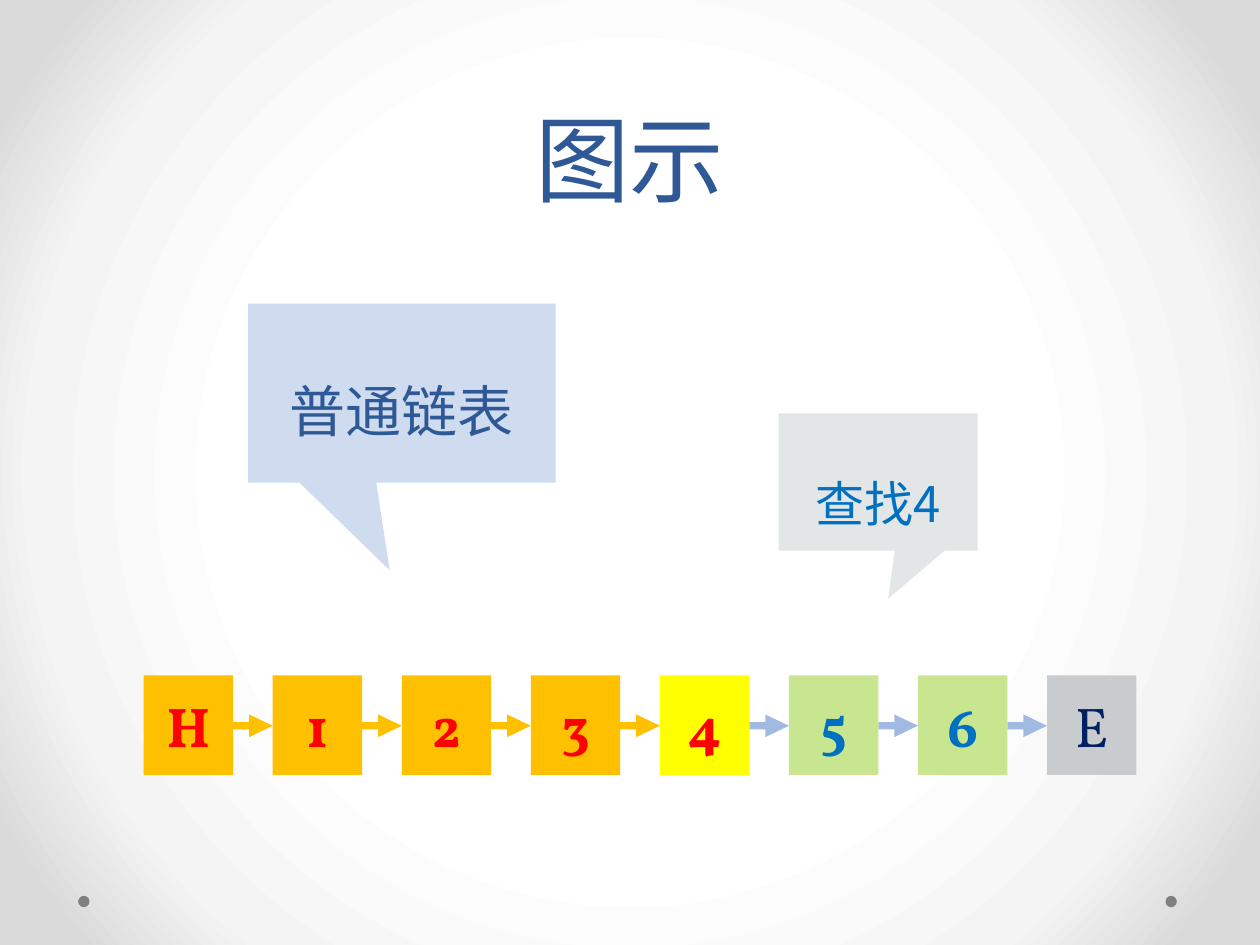
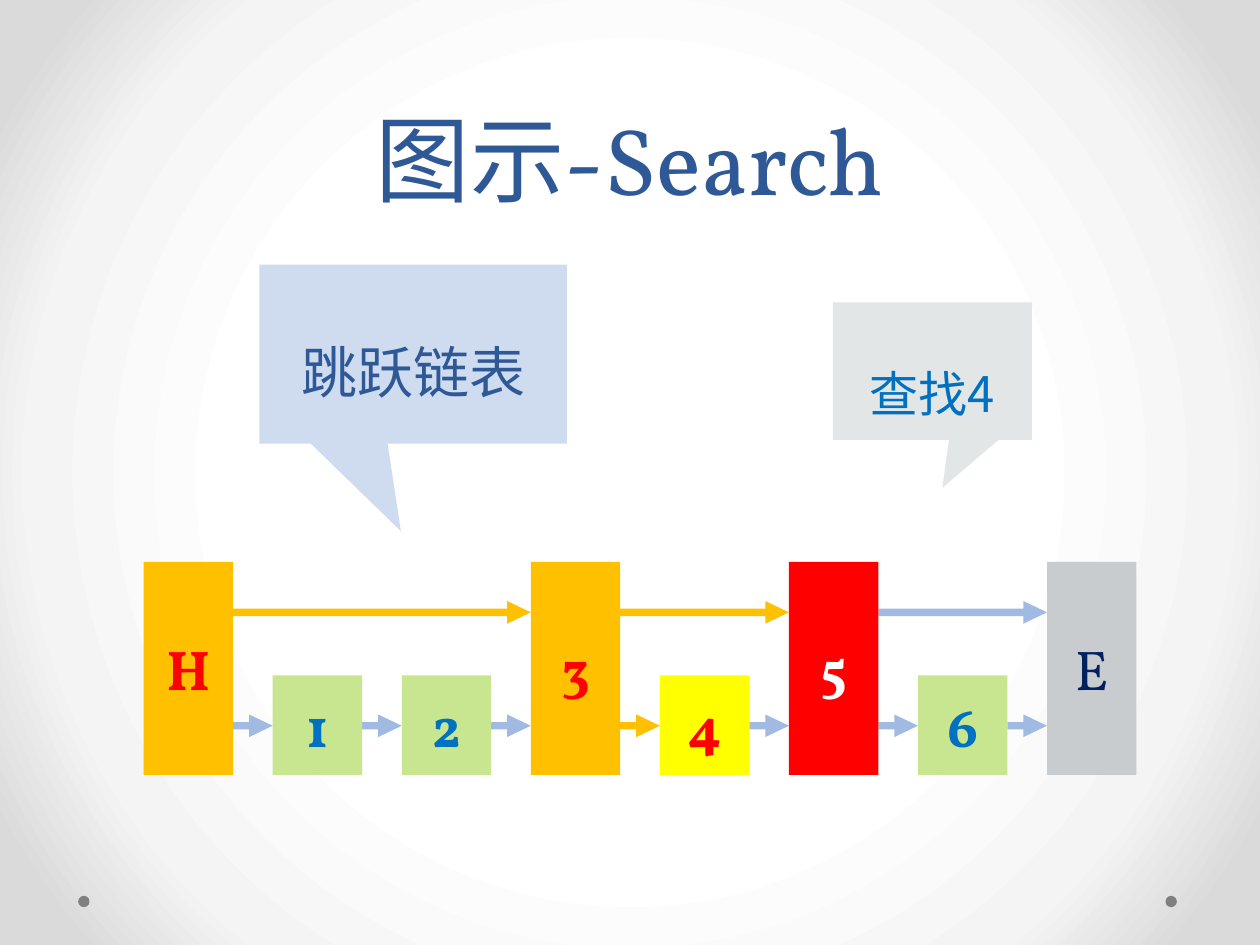
"""Build two slides that compare searching a linked list and a skip list."""

from dataclasses import dataclass
from typing import NamedTuple

from pptx import Presentation
from pptx.dml.color import RGBColor
from pptx.enum.shapes import MSO_SHAPE
from pptx.enum.text import MSO_ANCHOR, PP_ALIGN
from pptx.oxml import parse_xml
from pptx.oxml.ns import nsdecls, qn
from pptx.util import Inches, Pt


@dataclass(frozen=True)
class Theme:
    """Colours, fonts and type sizes of the deck."""

    title: str = "2F5897"
    dot: str = "808080"
    link: str = "A0BAE1"
    walked: str = "FFC000"
    list_callout: str = "CFDCF0"
    query_callout: str = "E3E6E7"
    query_text: str = "0070C0"
    latin_font: str = "Vollkorn"
    chinese_font: str = "Noto Sans CJK SC"
    title_size: int = 54
    node_size: int = 32
    query_size: int = 28
    line_spacing: int = 58
    backdrop: tuple = ((50, "FFFFFF"), (76, "F4F4F4"), (92, "DADADA"))


@dataclass(frozen=True)
class Grid:
    """Columns of nodes and the two levels of links, in inches."""

    width: float = 10
    height: float = 7.5
    left: float = 1.14
    pitch: float = (8.31 - 1.14) / 7
    node_width: float = 0.71
    node_height: float = 0.79
    bottom: float = 6.15
    rise: float = 0.9
    link_top: float = 5.67
    link_height: float = 0.18

    def column(self, index: int) -> float:
        """Return the left edge of a column."""
        return self.left + index * self.pitch


THEME = Theme()
GRID = Grid()


class Box(NamedTuple):
    """Left, top, width and height in inches."""

    left: float
    top: float
    width: float
    height: float


class Style(NamedTuple):
    """Fill, text colour and weight of a node."""

    fill: str
    text: str
    bold: bool = True


WAITING = Style("C7E68F", "0070C0")
VISITED = Style(THEME.walked, "FF0000")
FOUND = Style("FFFF00", "FF0000")
OVERSHOT = Style("FF0000", "FFFFFF")
END = Style("C8CCCE", "002060", False)


class Node(NamedTuple):
    """A list node; levels gives its height in links."""

    label: str
    style: Style
    levels: int = 1


class Link(NamedTuple):
    """An arrow between two columns on a level."""

    start: int
    end: int
    color: str = THEME.link
    level: int = 0


class Callout(NamedTuple):
    """A speech box with its pointer offsets."""

    text: str
    box: Box
    pointer: tuple[float, float]
    fill: str
    color: str
    size: int


class Diagram(NamedTuple):
    """Everything that differs from slide to slide."""

    title: str
    callouts: list[Callout]
    nodes: list[Node]
    links: list[Link]


def list_callout(text: str, left: float, top: float) -> Callout:
    """Describe the callout that names the list."""
    return Callout(text, Box(left, top, 2.44, 1.42), (-0.04, 0.99),
                   THEME.list_callout, THEME.title, THEME.node_size)


def query_callout(left: float, top: float) -> Callout:
    """Describe the callout that names the search."""
    return Callout("查找4", Box(left, top, 1.58, 1.09), (0.05, 0.85),
                   THEME.query_callout, THEME.query_text, THEME.query_size)


def neighbour_links(walked: set[int]) -> list[Link]:
    """Link each column to the next, marking the walked ones."""
    return [Link(start, start + 1, THEME.walked if start in walked else THEME.link)
            for start in range(7)]


DIAGRAMS = [
    Diagram(
        "图示",
        [list_callout("普通链表", 1.97, 2.41), query_callout(6.18, 3.28)],
        [Node(label, VISITED) for label in "H123"]
        + [Node("4", FOUND), Node("5", WAITING), Node("6", WAITING), Node("E", END)],
        neighbour_links({0, 1, 2, 3}),
    ),
    Diagram(
        "图示-Search",
        [list_callout("跳跃链表", 2.06, 2.1), query_callout(6.61, 2.4)],
        [Node("H", VISITED, 2), Node("1", WAITING), Node("2", WAITING),
         Node("3", VISITED, 2), Node("4", FOUND), Node("5", OVERSHOT, 2),
         Node("6", WAITING), Node("E", END, 2)],
        neighbour_links({3}) + [Link(0, 3, THEME.walked, 1),
                                Link(3, 5, THEME.walked, 1), Link(5, 7, THEME.link, 1)],
    ),
]


def add_filled_shape(slide, kind, box: Box, fill: str, adjustments=()):
    """Add a flat shape without an outline."""
    shape = slide.shapes.add_shape(kind, *map(Inches, box))
    shape.shadow.inherit = False
    shape.fill.solid()
    shape.fill.fore_color.rgb = RGBColor.from_string(fill)
    shape.line.fill.background()
    for index, value in enumerate(adjustments):
        shape.adjustments[index] = value
    return shape


def write_text(shape, text: str, font_name: str, size: int, color: str,
               bold: bool = False, spacing: int | None = None,
               anchor=MSO_ANCHOR.MIDDLE) -> None:
    """Set centred text in one style."""
    frame = shape.text_frame
    frame.word_wrap = True
    frame.vertical_anchor = anchor
    frame.text = text
    paragraph = frame.paragraphs[0]
    paragraph.alignment = PP_ALIGN.CENTER
    if spacing:
        paragraph.line_spacing = Pt(spacing)
    font = paragraph.runs[0].font
    font.name, font.size, font.bold = font_name, Pt(size), bold
    font.color.rgb = RGBColor.from_string(color)
    properties = paragraph.runs[0]._r.get_or_add_rPr()
    properties.find(qn("a:latin")).addnext(
        parse_xml(f'<a:ea {nsdecls("a")} typeface="{THEME.chinese_font}"/>'))


def set_backdrop(master) -> None:
    """Give the master a circular gradient."""
    master.background.fill.solid()
    properties = master.element.find(".//" + qn("p:bgPr"))
    stops = "".join(f'<a:gs pos="{position * 1000}"><a:srgbClr val="{color}"/></a:gs>'
                    for position, color in THEME.backdrop)
    gradient = parse_xml(
        f'<a:gradFill {nsdecls("a")} rotWithShape="1"><a:gsLst>{stops}</a:gsLst>'
        '<a:path path="circle"><a:fillToRect l="50000" t="50000" r="50000" b="50000"/>'
        '</a:path></a:gradFill>')
    properties.replace(properties[0], gradient)


def add_frame(slide, title: str) -> None:
    """Add the footer dots and the title."""
    for left in (9.25, 0.62):
        add_filled_shape(slide, MSO_SHAPE.OVAL, Box(left, 7.11, 0.09, 0.09), THEME.dot)
    title_box = slide.shapes.add_textbox(*map(Inches, Box(0.5, 0, 9, 1.75)))
    write_text(title_box, title, THEME.latin_font, THEME.title_size, THEME.title,
               spacing=THEME.line_spacing, anchor=MSO_ANCHOR.BOTTOM)


def add_callout(slide, callout: Callout) -> None:
    """Add a speech box."""
    shape = add_filled_shape(slide, MSO_SHAPE.RECTANGULAR_CALLOUT, callout.box,
                             callout.fill, callout.pointer)
    write_text(shape, callout.text, THEME.chinese_font, callout.size, callout.color,
               spacing=THEME.line_spacing)


def add_link(slide, link: Link) -> None:
    """Add an arrow that fills the gap between two nodes."""
    left = GRID.column(link.start) + GRID.node_width
    box = Box(left, GRID.link_top - link.level * GRID.rise,
              GRID.column(link.end) - left, GRID.link_height)
    add_filled_shape(slide, MSO_SHAPE.RIGHT_ARROW, box, link.color, (0.33, 1.04))


def add_node(slide, column: int, node: Node) -> None:
    """Add a node that stands on the common baseline."""
    height = GRID.node_height + (node.levels - 1) * GRID.rise
    box = Box(GRID.column(column), GRID.bottom - height, GRID.node_width, height)
    shape = add_filled_shape(slide, MSO_SHAPE.RECTANGLE, box, node.style.fill)
    write_text(shape, node.label, THEME.latin_font, THEME.node_size,
               node.style.text, node.style.bold)


def add_diagram(presentation, diagram: Diagram) -> None:
    """Add one slide with its list diagram."""
    slide = presentation.slides.add_slide(presentation.slide_layouts[6])
    add_frame(slide, diagram.title)
    for callout in diagram.callouts:
        add_callout(slide, callout)
    for link in diagram.links:
        add_link(slide, link)
    for column, node in enumerate(diagram.nodes):
        add_node(slide, column, node)


def main() -> None:
    """Build and save the deck."""
    presentation = Presentation()
    presentation.slide_width = Inches(GRID.width)
    presentation.slide_height = Inches(GRID.height)
    set_backdrop(presentation.slide_master)
    for diagram in DIAGRAMS:
        add_diagram(presentation, diagram)
    presentation.save("out.pptx")


if __name__ == "__main__":
    main()
